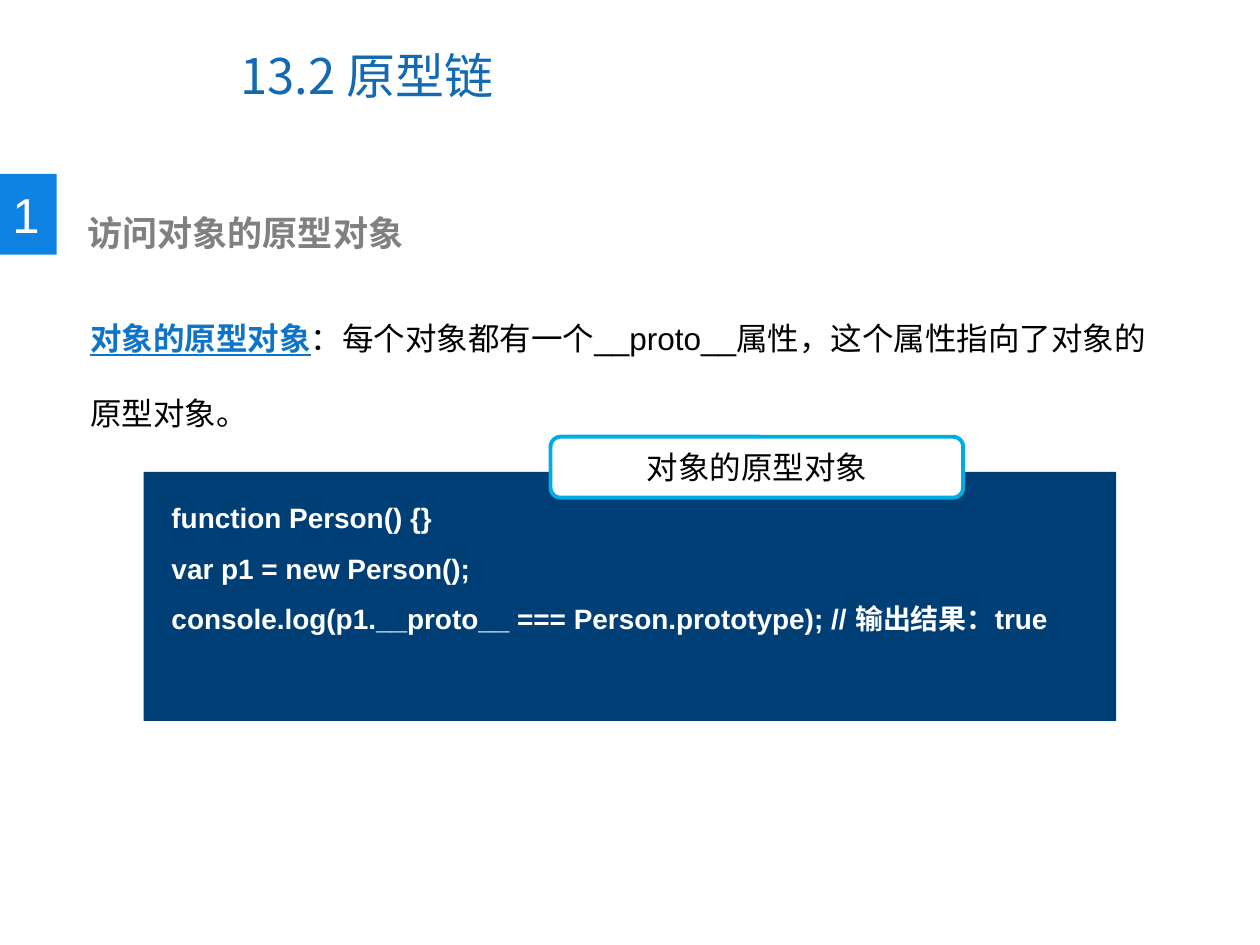
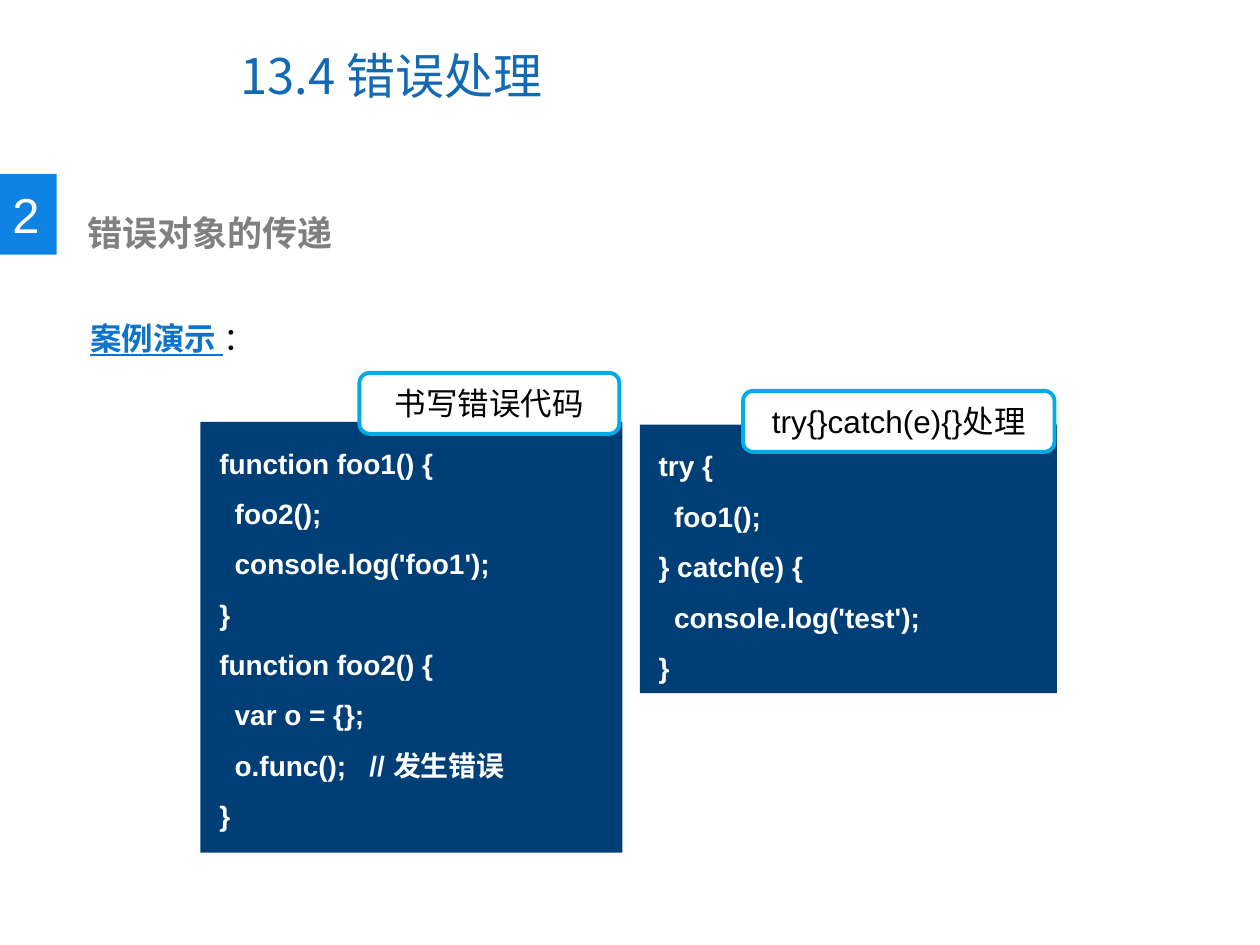
from lxml import etree
from pptx import Presentation
from pptx.dml.color import RGBColor
from pptx.enum.shapes import MSO_SHAPE
from pptx.enum.text import MSO_ANCHOR, PP_ALIGN
from pptx.oxml.ns import qn
from pptx.util import Pt

RECT, ROUNDED = MSO_SHAPE.RECTANGLE, MSO_SHAPE.ROUNDED_RECTANGLE
TOP, MIDDLE = MSO_ANCHOR.TOP, MSO_ANCHOR.MIDDLE
LEFT, CENTER = PP_ALIGN.LEFT, PP_ALIGN.CENTER

LATIN, CJK = "Arial", "Noto Sans CJK SC"
TITLE_BLUE, BADGE_BLUE, TERM_BLUE = "1369B2", "0F83E3", "0D74C9"
CODE_NAVY, LABEL_CYAN = "003F75", "00ACE6"
GRAY, BLACK, WHITE = "808080", "000000", "FFFFFF"


def color(hex_value):
    return RGBColor.from_string(hex_value)


class Deck:
    def __init__(self):
        self.prs = Presentation()
        self.prs.slide_width, self.prs.slide_height = Pt(720), Pt(540)
        self.slide = None

    def new_slide(self, number, section, topic, heading):
        """Start a slide with its title, numbered badge and heading."""
        self.slide = self.prs.slides.add_slide(self.prs.slide_layouts[6])
        title = self.text_box(130.3, 12.2, 371.5, 61.2, MIDDLE)
        paragraph = title.paragraphs[0]
        self.run(paragraph, section + " ", 28, TITLE_BLUE, font=CJK)
        self.run(paragraph, topic, 28, TITLE_BLUE)

        badge = self.shape(RECT, 0, 99.4, 32.4, 46.1, BADGE_BLUE).text_frame
        badge.margin_right = 0
        badge.paragraphs[0].alignment = LEFT
        self.run(badge.paragraphs[0], number, 28, WHITE)

        box = self.text_box(43, 117.4, 370, 31.7)
        self.run(box.paragraphs[0], heading, 20, GRAY, bold=True)

    def run(self, paragraph, text, size, hex_value, bold=False,
            underline=False, font=LATIN):
        run = paragraph.add_run()
        run.text = text
        run.font.size, run.font.bold = Pt(size), bold
        run.font.underline = underline
        run.font.color.rgb = color(hex_value)
        run.font.name = font
        east_asian = etree.SubElement(run.font._element, qn("a:ea"))
        east_asian.set("typeface", CJK)

    def text_box(self, left, top, width, height, anchor=TOP):
        frame = self.slide.shapes.add_textbox(
            Pt(left), Pt(top), Pt(width), Pt(height)).text_frame
        frame.word_wrap = True
        frame.vertical_anchor = anchor
        return frame

    def shape(self, preset, left, top, width, height, fill):
        shape = self.slide.shapes.add_shape(
            preset, Pt(left), Pt(top), Pt(width), Pt(height))
        shape.shadow.inherit = False
        shape.fill.solid()
        shape.fill.fore_color.rgb = color(fill)
        shape.line.fill.background()
        shape.text_frame.vertical_anchor = MIDDLE
        return shape

    def definition(self, term, explanation):
        paragraph = self.text_box(44.6, 157, 622.8, 94).paragraphs[0]
        paragraph.line_spacing = 2.0
        self.run(paragraph, term, 18, TERM_BLUE, bold=True, underline=True)
        self.run(paragraph, explanation, 18, BLACK)

    def code_panel(self, left, top, width, height, code, inset):
        """Draw a code block; inset is its left and top text margin."""
        panel = self.shape(RECT, left, top, width, height, CODE_NAVY)
        frame = panel.text_frame
        frame.vertical_anchor = TOP
        frame.margin_left, frame.margin_top = map(Pt, inset)
        for index, line in enumerate(code.splitlines()):
            paragraph = frame.add_paragraph() if index else frame.paragraphs[0]
            paragraph.alignment = LEFT
            paragraph.line_spacing = 1.5
            self.run(paragraph, line, 16, WHITE, bold=True)

    def label(self, left, top, width, text):
        label = self.shape(ROUNDED, left, top, width, 34.8, WHITE)
        label.line.color.rgb = color(LABEL_CYAN)
        label.line.width = Pt(2.25)
        paragraph = label.text_frame.paragraphs[0]
        paragraph.alignment = CENTER
        self.run(paragraph, text, 18, BLACK)


PROTOTYPE_CODE = """function Person() {}
var p1 = new Person();
console.log(p1.__proto__ === Person.prototype); // 输出结果：true"""

ERROR_CODE = """function foo1() {
  foo2();
  console.log('foo1');
}
function foo2() {
  var o = {};
  o.func();   // 发生错误
}"""

CATCH_CODE = """try {
  foo1();
} catch(e) {
  console.log('test');
}"""


def main():
    deck = Deck()

    deck.new_slide("1", "13.2", "原型链", "访问对象的原型对象")
    deck.definition("对象的原型对象",
                    "：每个对象都有一个__proto__属性，这个属性指向了对象的原型对象。")
    deck.code_panel(82, 269.6, 555.8, 142.4, PROTOTYPE_CODE, (16, 7))
    deck.label(314.6, 249.6, 235.8, "对象的原型对象")

    deck.new_slide("2", "13.4", "错误处理", "错误对象的传递")
    deck.definition("案例演示 ", "：")
    deck.code_panel(114.5, 241, 241.2, 246.2, ERROR_CODE, (10.8, 4.3))
    deck.label(205.4, 213.1, 148.5, "书写错误代码")
    deck.code_panel(365.6, 242.7, 238.4, 153.4, CATCH_CODE, (10.8, 4.3))
    deck.label(424.6, 223.4, 178, "try{}catch(e){}处理")

    deck.prs.save("out.pptx")


if __name__ == "__main__":
    main()
